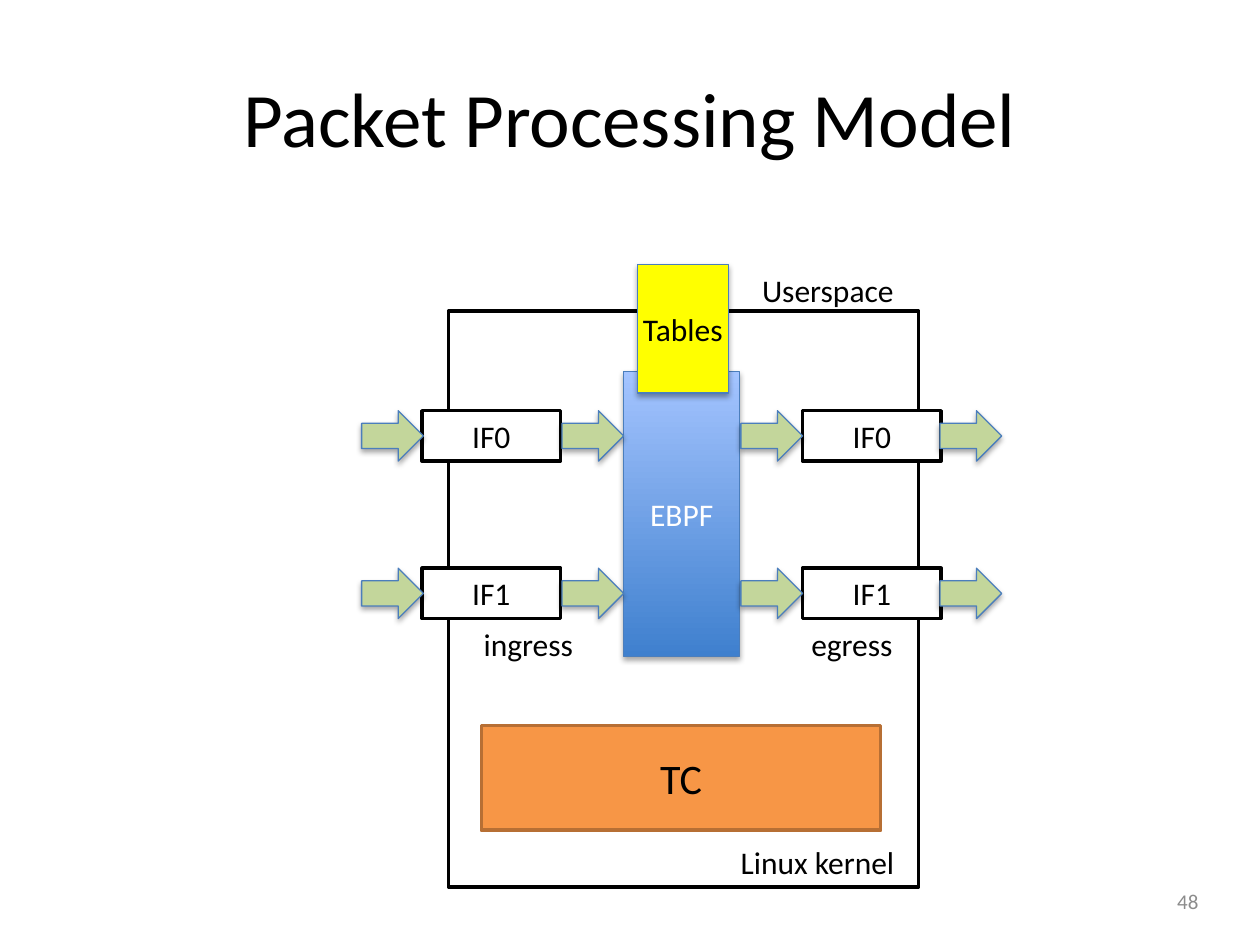
from lxml import etree
from pptx import Presentation
from pptx import util as u
from pptx.dml.color import RGBColor
from pptx.enum import shapes, text
from pptx.oxml.ns import qn

# Content
TITLE = "Packet Processing Model"
PAGE = "48"
C = dict(black="000000", white="FFFFFF", grey="8C8C8C", edge="4B7EBC",
         blue="3F80CE", pale="A4C4FF", green="C3D69B", yellow="FFFF00",
         orange="F79646", brown="B76F34")
INTERFACES = [("IF0", 3.26), ("IF1", 4.51)]  # name, top of its row
INTERFACE_LEFTS = [3.35, 6.37]               # ingress, egress
ARROW_LEFTS = [2.87, 4.46, 5.88, 7.46]
BOX_W, ARROW_W, ROW_H = 1.1, 0.49, 0.4
LABELS = [  # text, left, top, width
    ("Linux kernel", 5.78, 6.64, 1.44),
    ("ingress", 3.74, 4.91, 0.92),
    ("egress", 6.34, 4.91, 0.85),
    ("Userspace", 5.95, 2.1, 1.26),
]
OUTLINED = dict(line="black", width=2)

prs = Presentation()
prs.slide_width, prs.slide_height = u.Inches(10), u.Inches(7.5)
s = prs.slides.add_slide(prs.slide_layouts[5])


def inches(*values):
    return [u.Inches(v) for v in values]


def rgb(name):
    return RGBColor.from_string(C[name])


def write(sp, words, size=18, color="black", align="CENTER", wrap=True):
    tf = sp.text_frame
    tf.word_wrap = wrap
    tf.vertical_anchor = text.MSO_ANCHOR.MIDDLE
    p = tf.paragraphs[0]
    p.alignment = getattr(text.PP_ALIGN, align)
    r = p.add_run()
    r.text = words
    for key, value in dict(name="Calibri", size=u.Pt(size)).items():
        setattr(r.font, key, value)
    r.font.color.rgb = rgb(color)
    return tf


def add_shadow(sp):
    effects = sp._element.spPr.find(qn("a:effectLst"))
    shadow = etree.SubElement(effects, qn("a:outerShdw"), blurRad="40000",
                              dist="23000", dir="5400000", rotWithShape="0")
    color = etree.SubElement(shadow, qn("a:srgbClr"), val=C["black"])
    etree.SubElement(color, qn("a:alpha"), val="35000")


def add_block(at, fill=None, line="edge", width=0.75, kind="RECTANGLE",
              shadow=False):
    sp = s.shapes.add_shape(getattr(shapes.MSO_SHAPE, kind), *inches(*at))
    sp.shadow.inherit = False
    if fill:
        sp.fill.solid()
        sp.fill.fore_color.rgb = rgb(fill)
    else:
        sp.fill.background()
    sp.line.color.rgb = rgb(line)
    sp.line.width = u.Pt(width)
    if shadow:
        add_shadow(sp)
    return sp


# Title
title = s.shapes.title
title.left, title.top, title.width, title.height = inches(0.5, 0.3, 9, 1.25)
write(title, TITLE, size=44)

# Traffic control, packet program and kernel frame
write(add_block((3.82, 5.76, 3.17, 0.83), "orange", "brown", 2), "TC", size=24)

ebpf = add_block((4.95, 2.95, 0.92, 2.26), shadow=True)
ebpf.fill.gradient()
ebpf.fill.gradient_angle = 90
for stop, name, position in zip(ebpf.fill.gradient_stops, ("blue", "pale"), (0, 1)):
    stop.color.rgb = rgb(name)
    stop.position = position
write(ebpf, "EBPF", color="white")

add_block((3.56, 2.47, 3.73, 4.57), **OUTLINED)

# Interfaces, with the arrows between them
for name, top in INTERFACES:
    for left in INTERFACE_LEFTS:
        write(add_block((left, top, BOX_W, ROW_H), "white", **OUTLINED), name)
    for left in ARROW_LEFTS:
        add_block((left, top, ARROW_W, ROW_H), "green", kind="RIGHT_ARROW",
                  shadow=True)

# Tables shared with userspace
write(add_block((5.06, 2.1, 0.72, 1.02), "yellow", shadow=True), "Tables",
      wrap=False)

# Labels
for words, *at, width in LABELS:
    box = s.shapes.add_textbox(*inches(*at, width, ROW_H))
    tf = write(box, words, align="LEFT", wrap=False)
    tf.vertical_anchor = text.MSO_ANCHOR.TOP
    tf.auto_size = text.MSO_AUTO_SIZE.SHAPE_TO_FIT_TEXT

# Page number
write(s.shapes.add_textbox(*inches(8.57, 6.95, 1.04, 0.4)), PAGE, size=12,
      color="grey", align="RIGHT")

prs.save("out.pptx")
